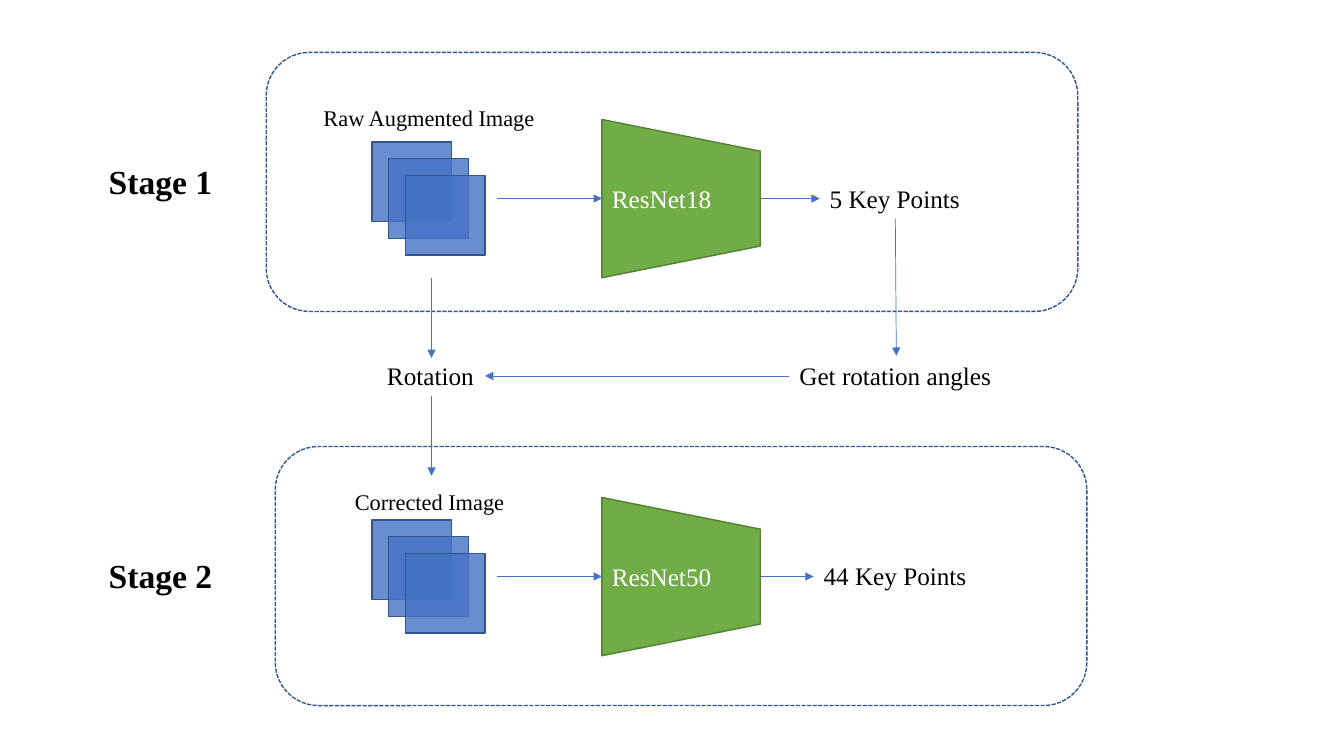
from dataclasses import dataclass

from lxml import etree
from pptx import Presentation
from pptx.dml.color import RGBColor
from pptx.enum.dml import MSO_LINE
from pptx.enum.shapes import MSO_CONNECTOR, MSO_SHAPE
from pptx.enum.text import MSO_ANCHOR, MSO_AUTO_SIZE, PP_ALIGN
from pptx.oxml.ns import qn
from pptx.util import Inches, Pt

RECT = MSO_SHAPE.RECTANGLE
ROUND_RECT = MSO_SHAPE.ROUNDED_RECTANGLE
TRAPEZOID = MSO_SHAPE.FLOWCHART_MANUAL_OPERATION
STRAIGHT = MSO_CONNECTOR.STRAIGHT
SYS_DASH = MSO_LINE.SQUARE_DOT
MIDDLE = MSO_ANCHOR.MIDDLE
CENTER = PP_ALIGN.CENTER
FIT_SHAPE = MSO_AUTO_SIZE.SHAPE_TO_FIT_TEXT

FONT = "Times New Roman"
COLORS = {
    "blue": "4472C4",
    "navy": "325491",
    "green": "70AD47",
    "dark_green": "538035",
    "white": "FFFFFF",
    "black": "000000",
}


@dataclass
class Label:
    text: str
    left: float
    top: float
    width: float
    height: float = 0.4
    size: int = 18
    bold: bool = False


@dataclass
class Stage:
    axis: float
    network: str
    title: Label
    caption: Label
    result: Label
    frame_left: float
    frame_top: float


def rgb(name: str) -> RGBColor:
    return RGBColor.from_string(COLORS[name])


def write(tf, text: str, size: int = 18, color: str = "black",
          bold: bool = False, align=None) -> None:
    p = tf.paragraphs[0]
    p.alignment = align
    r = p.add_run()
    r.text = text
    r.font.name = FONT
    r.font.size = Pt(size)
    r.font.bold = bold
    r.font.color.rgb = rgb(color)


def add_label(label: Label) -> None:
    sp = slide.shapes.add_textbox(Inches(label.left), Inches(label.top),
                                  Inches(label.width), Inches(label.height))
    tf = sp.text_frame
    tf.word_wrap = False
    tf.auto_size = FIT_SHAPE
    write(tf, label.text, size=label.size, bold=label.bold)


def add_box(shapes, kind, left: float, top: float, width: float, height: float,
            line: str, fill: str | None = None):
    sp = shapes.add_shape(kind, Inches(left), Inches(top),
                          Inches(width), Inches(height))
    sp.shadow.inherit = False
    sp.line.color.rgb = rgb(line)
    sp.line.width = Pt(1)
    if fill:
        sp.fill.solid()
        sp.fill.fore_color.rgb = rgb(fill)
    else:
        sp.fill.background()
    return sp


def add_arrow(x1: float, y1: float, x2: float, y2: float) -> None:
    sp = slide.shapes.add_connector(STRAIGHT, Inches(x1), Inches(y1),
                                    Inches(x2), Inches(y2))
    sp.line.color.rgb = rgb("blue")
    sp.line.width = Pt(0.5)
    spPr = sp.element.spPr
    etree.SubElement(spPr.find(qn("a:ln")), qn("a:tailEnd"), type="triangle")
    etree.SubElement(spPr, qn("a:effectLst"))


def add_image_stack(axis: float) -> None:
    group = slide.shapes.add_group_shape()
    for i in range(3):
        shift = i * 0.33 / 2
        sp = add_box(group.shapes, RECT, 3.69 + shift, axis - 0.56 + shift,
                     0.79, 0.79, "navy", "blue")
        color = sp.element.spPr.find(qn("a:solidFill"))[0]
        etree.SubElement(color, qn("a:alpha"), val="80000")


def add_network(text: str, axis: float) -> None:
    side = 1.57
    sp = add_box(slide.shapes, TRAPEZOID, 5.97, axis - side / 2,
                 side, side, "dark_green", "green")
    sp.rotation = 270
    tf = sp.text_frame
    tf.vertical_anchor = MIDDLE
    sp.element.txBody.bodyPr.set("vert", "eaVert")
    write(tf, text, color="white", align=CENTER)


def add_stage(stage: Stage) -> None:
    add_image_stack(stage.axis)
    add_network(stage.network, stage.axis)
    add_arrow(4.93, stage.axis, 5.97, stage.axis)
    add_arrow(7.55, stage.axis, stage.result.left, stage.axis)
    for label in (stage.result, stage.caption, stage.title):
        add_label(label)
    sp = add_box(slide.shapes, ROUND_RECT, stage.frame_left, stage.frame_top,
                 8.05, 2.57, "navy")
    sp.line.dash_style = SYS_DASH


STAGES = [
    Stage(1.97, "ResNet18",
          Label("Stage 1", 0.98, 1.55, 1.24, 0.5, 24, True),
          Label("Raw Augmented Image", 3.11, 0.98, 2.32, 0.37, 16),
          Label("5 Key Points", 8.13, 1.77, 1.51), 2.64, 0.52),
    Stage(5.72, "ResNet50",
          Label("Stage 2", 0.98, 5.46, 1.24, 0.5, 24, True),
          Label("Corrected Image", 3.42, 4.79, 1.71, 0.37, 16),
          Label("44 Key Points", 8.07, 5.51, 1.63), 2.73, 4.43),
]
ROTATION_LABELS = [
    Label("Rotation", 3.74, 3.53, 1.07),
    Label("Get rotation angles", 7.83, 3.53, 2.12),
]
ROTATION_ARROWS = [
    (4.28, 2.76, 4.28, 3.55),
    (8.88, 2.17, 8.89, 3.53),
    (7.83, 3.73, 4.81, 3.73),
    (4.28, 3.93, 4.28, 4.72),
]

prs = Presentation()
prs.slide_width = Inches(13.33)
prs.slide_height = Inches(7.5)
slide = prs.slides.add_slide(prs.slide_layouts[6])

for stage in STAGES:
    add_stage(stage)
for label in ROTATION_LABELS:
    add_label(label)
for arrow in ROTATION_ARROWS:
    add_arrow(*arrow)

prs.save("out.pptx")
